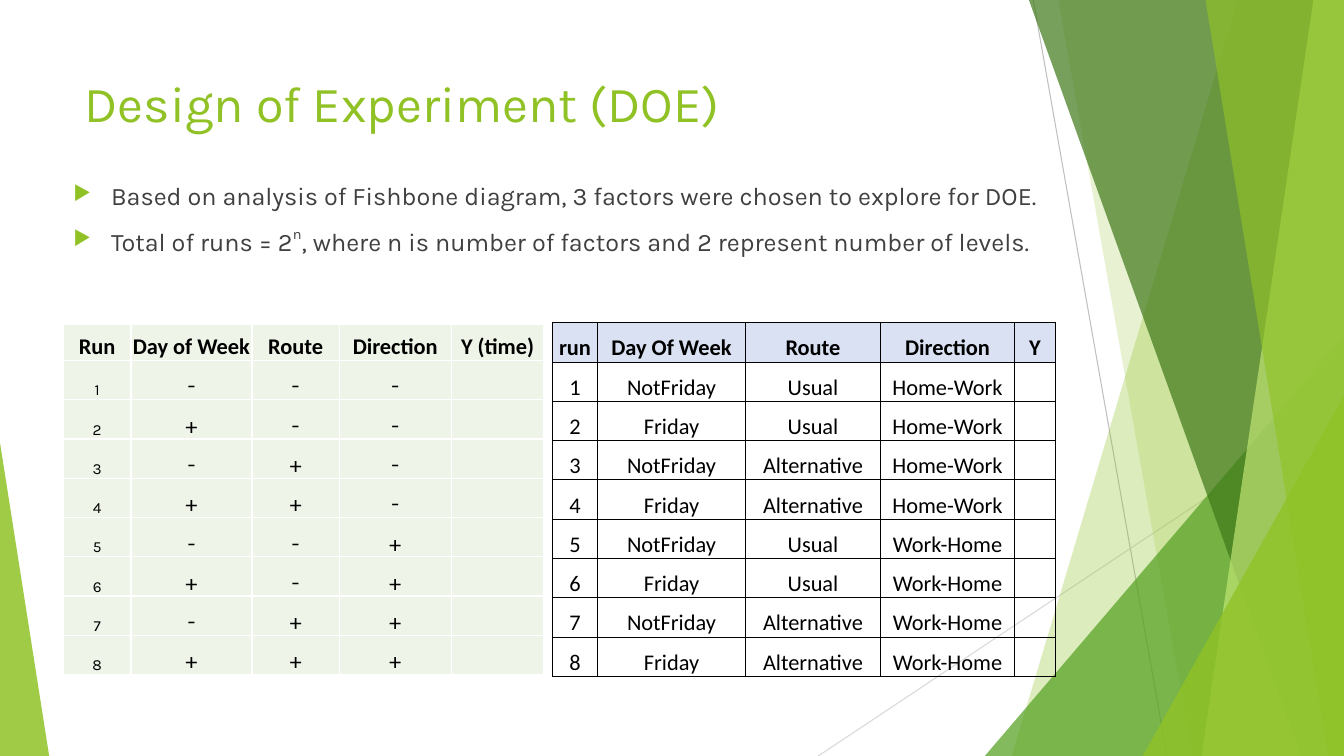
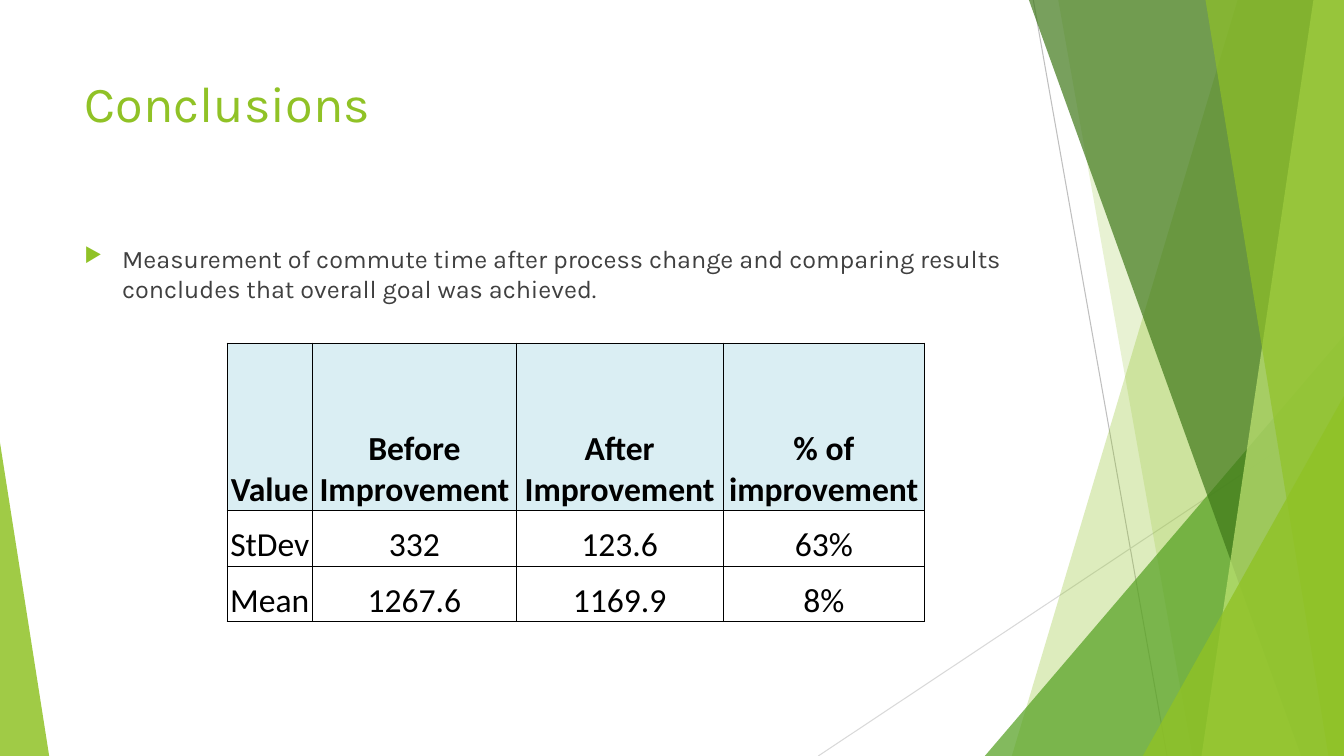
import itertools
from dataclasses import dataclass

import pptx
import pptx.dml.color
import pptx.enum.shapes
import pptx.enum.text
import pptx.oxml.ns
import pptx.oxml.xmlchemy
import pptx.util
from lxml import etree

Cm = pptx.util.Cm
Pt = pptx.util.Pt
qn = pptx.oxml.ns.qn


@dataclass(frozen=True)
class Theme:
    width: float = 33.87
    height: float = 19.05
    font: str = "Karla"
    table_font: str = "Calibri"
    green: str = "90C226"
    mid_green: str = "54A021"
    dark_green: str = "3F7819"
    light_green: str = "C0E474"
    text: str = "404040"
    black: str = "000000"
    white: str = "FFFFFF"
    line: str = "BFBFBF"
    pale_line: str = "D9D9D9"
    pale_green: str = "EEF4E8"
    pale_blue: str = "D9E1F2"
    pale_cyan: str = "DAEEF3"
    title_size: int = 36
    body_size: int = 18
    table_size: int = 16
    run_size: int = 11
    result_size: int = 24


THEME = Theme()


def rgb(value):
    return pptx.dml.color.RGBColor.from_string(value)


def set_font(p, name, size, color, bold=False):
    p.font.name = name
    p.font.size = Pt(size)
    p.font.color.rgb = rgb(color)
    p.font.bold = bold


def fill_translucent(sp, color, opacity):
    """Fill a borderless shape; opacity is in percent."""
    sp.shadow.inherit = False
    sp.line.fill.background()
    sp.fill.solid()
    sp.fill.fore_color.rgb = rgb(color)
    clr = sp.fill._xPr.find(f".//{qn('a:srgbClr')}")
    etree.SubElement(clr, qn("a:alpha"), val=str(opacity * 1000))


def add_line(s, start, end, color):
    line = s.shapes.add_connector(
        pptx.enum.shapes.MSO_CONNECTOR.STRAIGHT, *map(Cm, start + end))
    line.line.color.rgb = rgb(color)
    line.line.width = Pt(0.75)
    etree.SubElement(line.element.spPr, qn("a:effectLst"))


def add_band(s, top_x, bottom_x, color, opacity):
    """Full-height band from a slanted left edge to the right slide edge."""
    right, bottom = Cm(THEME.width), Cm(THEME.height)
    outline = s.shapes.build_freeform(Cm(top_x), 0)
    outline.add_line_segments([(right, 0), (right, bottom), (Cm(bottom_x), bottom)])
    fill_translucent(outline.convert_to_shape(), color, opacity)


def add_corner(s, left, top, width, apex, color, opacity):
    """Triangle standing on the bottom slide edge."""
    sp = s.shapes.add_shape(
        pptx.enum.shapes.MSO_SHAPE.ISOSCELES_TRIANGLE,
        Cm(left), Cm(top), Cm(width), Cm(THEME.height - top))
    sp.adjustments[0] = apex
    fill_translucent(sp, color, opacity)


def move_to_master(prs, s, shapes):
    tree = prs.slide_master.shapes.element
    for position, sp in enumerate(shapes, 2):
        tree.insert(position, sp.element)


def add_decoration(prs, s):
    """Draw the facets once and keep them on the slide master."""
    t = THEME
    before = len(s.shapes)
    add_line(s, (26.04, 0), (29.41, t.height), t.line)
    add_line(s, (t.width, 10.24), (20.62, t.height), t.pale_line)
    add_band(s, 31.19, 25.5, t.green, 30)
    add_band(s, 26.67, 30.05, t.green, 20)
    add_corner(s, 24.82, 8.46, t.width - 24.82, 1, t.mid_green, 72)
    add_band(s, 25.93, 32.79, t.dark_green, 70)
    add_band(s, 33.1, 30.28, t.light_green, 70)
    add_band(s, 30.38, 33.48, t.green, 65)
    add_corner(s, 28.8, 9.98, t.width - 28.8, 1, t.green, 80)
    add_corner(s, 0, 11.15, 1.24, 0, t.green, 85)
    move_to_master(prs, s, list(s.shapes)[before:])


def add_titled_slide(prs, title):
    s = prs.slides.add_slide(prs.slide_layouts.get_by_name("Title Only"))
    sp = s.shapes.title
    sp.left, sp.top, sp.width, sp.height = Cm(1.88), Cm(1.7), Cm(23.88), Cm(3.66)
    tf = sp.text_frame
    tf.text = title
    tf.auto_size = pptx.enum.text.MSO_AUTO_SIZE.NONE
    tf.vertical_anchor = pptx.enum.text.MSO_ANCHOR.TOP
    p = tf.paragraphs[0]
    p.alignment = pptx.enum.text.PP_ALIGN.LEFT
    set_font(p, THEME.font, THEME.title_size, THEME.green)
    return s


def set_bullet(p):
    pPr = p._p.get_or_add_pPr()
    pPr.set("marL", str(Cm(0.95)))
    pPr.set("indent", str(-Cm(0.95)))
    clr = etree.Element(qn("a:buClr"))
    etree.SubElement(clr, qn("a:srgbClr"), val=THEME.green)
    size = etree.Element(qn("a:buSzPct"), val="80000")
    char = etree.Element(qn("a:buChar"), char="▶")
    at = list(pPr).index(pPr.find(qn("a:spcBef"))) + 1
    pPr[at:at] = [clr, size, char]


def add_bullets(s, left, top, width, height, items):
    """Bulleted text; a part between two ^ marks is superscript."""
    tf = s.shapes.add_textbox(Cm(left), Cm(top), Cm(width), Cm(height)).text_frame
    tf.word_wrap = True
    for i, item in enumerate(items):
        p = tf.add_paragraph() if i else tf.paragraphs[0]
        p.space_before = Pt(10)
        set_font(p, THEME.font, THEME.body_size, THEME.text)
        set_bullet(p)
        for j, part in enumerate(item.split("^")):
            r = p.add_run()
            r.text = part
            if j % 2:
                r.font._element.set("baseline", "50000")


def set_borders(cell, color, width):
    tcPr = cell._tc.get_or_add_tcPr()
    for side in ("lnL", "lnR", "lnT", "lnB"):
        ln = etree.SubElement(tcPr, qn(f"a:{side}"), w=str(Pt(width)))
        fill = etree.SubElement(ln, qn("a:solidFill"))
        etree.SubElement(fill, qn("a:srgbClr"), val=color)


def set_cell(cell, text, font, size, bold, fill, border):
    set_borders(cell, *border)
    if fill:
        cell.fill.solid()
        cell.fill.fore_color.rgb = rgb(fill)
    else:
        cell.fill.background()
    cell.vertical_anchor = pptx.enum.text.MSO_ANCHOR.BOTTOM
    cell.margin_left = cell.margin_right = cell.margin_top = Cm(0.02)
    cell.margin_bottom = 0
    cell.text = text
    p = cell.text_frame.paragraphs[0]
    p.alignment = pptx.enum.text.PP_ALIGN.CENTER
    set_font(p, font, size, THEME.black, bold)


def add_grid(s, left, top, widths, heights, rows, size, head_fill, body_fill=None,
             body_font=THEME.table_font, first_size=None, border=(THEME.black, 0.5)):
    """Table with a bold first row; first_size is for the first column below it."""
    table = s.shapes.add_table(
        len(rows), len(widths), Cm(left), Cm(top),
        Cm(sum(widths)), Cm(sum(heights))).table
    table.first_row = table.horz_banding = False
    for column, width in zip(table.columns, widths):
        column.width = Cm(width)
    for i, (row, height) in enumerate(zip(rows, heights)):
        table.rows[i].height = Cm(height)
        for j, text in enumerate(row):
            head = i == 0
            set_cell(
                table.cell(i, j), text,
                THEME.table_font if head else body_font,
                first_size if first_size and j == 0 and not head else size,
                head, head_fill if head else body_fill, border)


def factorial_runs(days, routes, directions):
    """All level combinations, the day changing fastest."""
    combinations = itertools.product(directions, routes, days)
    return [(str(n), day, route, direction, "")
            for n, (direction, route, day) in enumerate(combinations, 1)]


def add_experiment_slide(prs):
    s = add_titled_slide(prs, "Design of Experiment (DOE)")
    add_bullets(s, 1.6, 4.42, 25.73, 12.34, [
        "Based on analysis of Fishbone diagram, 3 factors were chosen to explore for DOE.",
        "Total of runs = 2^n^, where n is number of factors and 2 represent number of levels.",
    ])
    coded = [("Run", "Day of Week", "Route", "Direction", "Y (time)")]
    coded += factorial_runs("-+", "-+", "-+")
    add_grid(s, 1.6, 8.18, [1.7, 3.05, 2.2, 2.82, 2.34], [0.9] + [0.99] * 8, coded,
             THEME.table_size, THEME.pale_green, THEME.pale_green,
             body_font=THEME.font, first_size=THEME.run_size, border=(THEME.white, 1))
    named = [("run", "Day Of Week", "Route", "Direction", "Y")]
    named += factorial_runs(("NotFriday", "Friday"), ("Usual", "Alternative"),
                            ("Home-Work", "Work-Home"))
    add_grid(s, 13.92, 8.13, [1.14, 3.73, 3.4, 3.38, 1.02], [0.99] * 9, named,
             THEME.table_size, THEME.pale_blue)
    return s


def add_conclusions_slide(prs):
    s = add_titled_slide(prs, "Conclusions")
    add_bullets(s, 1.88, 6, 23.88, 10.77, [
        "Measurement of commute time after process change and comparing results "
        "concludes that overall goal was achieved.",
    ])
    results = [
        ("Value", "Before Improvement", "After Improvement", "% of improvement"),
        ("StDev", "332", "123.6", "63%"),
        ("Mean", "1267.6", "1169.9", "8%"),
    ]
    add_grid(s, 5.72, 8.64, [2.16, 5.13, 5.21, 5.08], [4.22, 1.4, 1.4], results,
             THEME.result_size, THEME.pale_cyan)


def main():
    prs = pptx.Presentation()
    prs.slide_width, prs.slide_height = Cm(THEME.width), Cm(THEME.height)
    s = add_experiment_slide(prs)
    add_decoration(prs, s)
    add_conclusions_slide(prs)
    prs.save("out.pptx")


if __name__ == "__main__":
    main()
